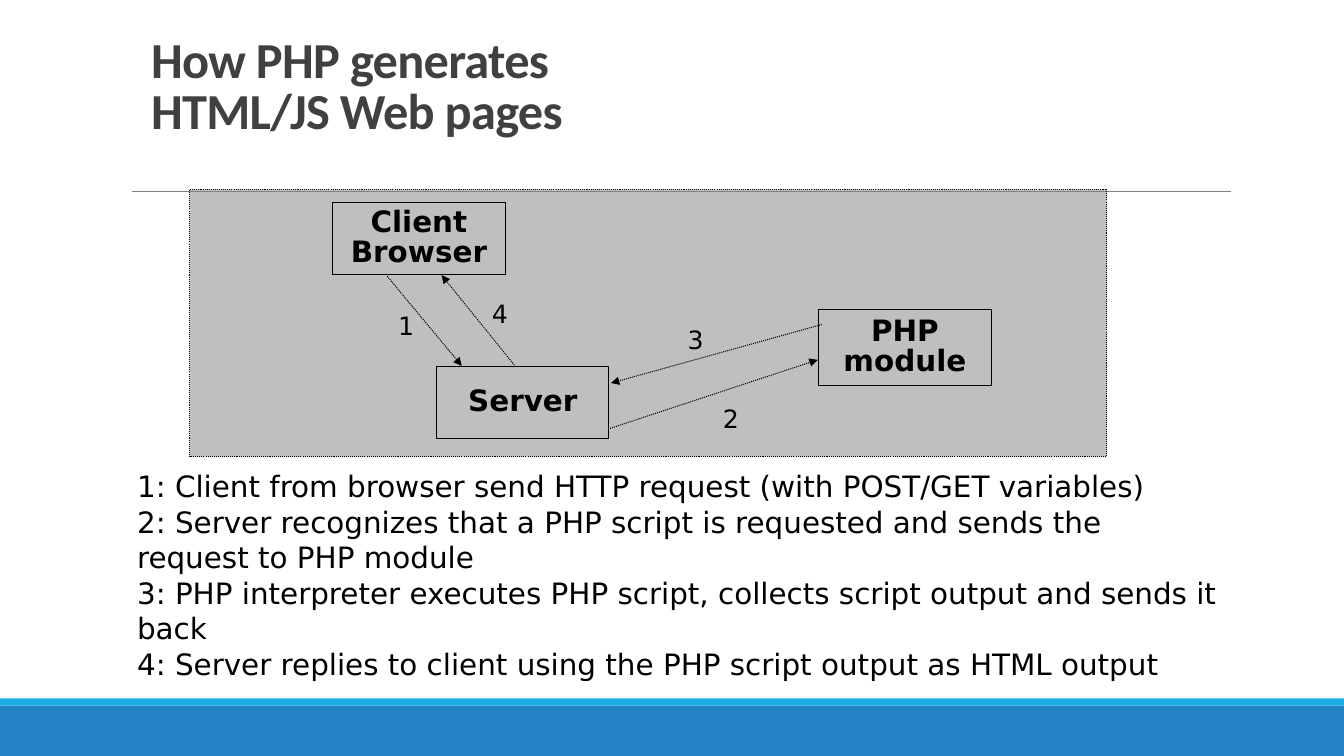
from lxml import etree
from pptx import Presentation
from pptx.dml.color import RGBColor
from pptx.enum.dml import MSO_LINE
from pptx.enum.shapes import MSO_CONNECTOR, MSO_SHAPE
from pptx.enum.text import MSO_ANCHOR, PP_ALIGN
from pptx.oxml.ns import qn
from pptx.util import Inches, Pt

BLACK = RGBColor(0, 0, 0)
GRAY = RGBColor(0x80, 0x80, 0x80)
CHARCOAL = RGBColor(0x40, 0x40, 0x40)
BLUE = RGBColor(0x26, 0x83, 0xC6)
CYAN = RGBColor(0x1C, 0xAD, 0xE4)
DOTTED = MSO_LINE.ROUND_DOT
STRAIGHT = MSO_CONNECTOR.STRAIGHT
RECTANGLE = MSO_SHAPE.RECTANGLE
TOP, MIDDLE, BOTTOM = MSO_ANCHOR.TOP, MSO_ANCHOR.MIDDLE, MSO_ANCHOR.BOTTOM
LEFT, CENTER = PP_ALIGN.LEFT, PP_ALIGN.CENTER


class SlideBuilder:
    title_font = "Calibri"
    body_font = "DejaVu Sans"
    outline_width = Pt(0.75)

    def __init__(self, slide):
        self.slide = slide

    def fill_text(self, shape, paragraphs, size, spacing, font=body_font, color=BLACK,
                  bold=False, align=LEFT, anchor=TOP, wrap=True):
        frame = shape.text_frame
        frame.word_wrap = wrap
        frame.vertical_anchor = anchor
        frame.margin_left = frame.margin_right = 0
        frame.margin_top = frame.margin_bottom = 0
        frame.text = "\n".join(paragraphs)
        for para in frame.paragraphs:
            para.alignment = align
            para.line_spacing = spacing
            para.font.name = font
            para.font.size = Pt(size)
            para.font.bold = bold
            para.font.color.rgb = color

    def text(self, left, top, width, height, paragraphs, size, spacing, **style):
        box = self.slide.shapes.add_textbox(
            Inches(left), Inches(top), Inches(width), Inches(height))
        self.fill_text(box, paragraphs, size, spacing, **style)
        return box

    def title(self, left, top, width, height, words):
        box = self.text(left, top, width, height, [words], 36, 0.85,
                        font=self.title_font, color=CHARCOAL, bold=True, anchor=BOTTOM)
        frame = box.text_frame
        frame.margin_left = frame.margin_right = Inches(0.1)
        frame.margin_top = frame.margin_bottom = Inches(0.05)
        for span in frame.paragraphs[0].runs:
            span.font._element.set("spc", "-50")

    def rectangle(self, left, top, width, height, fill=None, opacity=100,
                  outline=None, dash=None):
        box = self.slide.shapes.add_shape(
            RECTANGLE, Inches(left), Inches(top), Inches(width), Inches(height))
        box.shadow.inherit = False
        if fill is None:
            box.fill.background()
        else:
            box.fill.solid()
            box.fill.fore_color.rgb = fill
            if opacity < 100:
                color = box._element.spPr.find(qn("a:solidFill"))[0]
                etree.SubElement(color, qn("a:alpha"), val=str(opacity * 1000))
        if outline is None:
            box.line.fill.background()
        else:
            box.line.color.rgb = outline
            box.line.width = self.outline_width
            box.line.dash_style = dash
        return box

    def node(self, left, top, height, label):
        box = self.rectangle(left, top, 1.71, height, outline=BLACK)
        self.fill_text(box, [label], 21, Pt(21.2), bold=True, align=CENTER, anchor=MIDDLE)

    def line(self, start, end, color, width):
        line = self.slide.shapes.add_connector(
            STRAIGHT, *(Inches(value) for value in (*start, *end)))
        line.line.color.rgb = color
        line.line.width = width
        etree.SubElement(line._element.spPr, qn("a:effectLst"))
        return line

    def arrow(self, start, end):
        arrow = self.line(start, end, BLACK, self.outline_width)
        arrow.line.dash_style = DOTTED
        outline = arrow._element.spPr.find(qn("a:ln"))
        etree.SubElement(outline, qn("a:tailEnd"), type="triangle")


deck = Presentation()
deck.slide_width = Inches(13.33)
deck.slide_height = Inches(7.5)
page = SlideBuilder(deck.slides.add_slide(deck.slide_layouts[6]))

page.rectangle(0, 7, 13.33, 0.5, fill=BLUE)
page.rectangle(0, 6.93, 13.33, 0.07, fill=CYAN)
page.line((1.31, 1.9), (12.21, 1.9), GRAY, Pt(0.5))
page.title(1.4, 0.38, 10.54, 1.06, "How PHP generates \vHTML/JS Web pages")

steps = [
    "1: Client from browser send HTTP request (with POST/GET variables)",
    "2: Server recognizes that a PHP script is requested and sends the request to PHP module",
    "3: PHP interpreter executes PHP script, collects script output and sends it back",
    "4: Server replies to client using the PHP script output as HTML output",
]
explanation = page.text(1.36, 4.7, 10.73, 2.08, steps, 21, 1.01)
explanation.text_frame.paragraphs[0].line_spacing = Pt(21.2)

page.rectangle(1.88, 1.88, 9.1, 2.65, fill=GRAY, opacity=50, outline=BLACK, dash=DOTTED)

for left, top, height, label in [
    (3.3, 2.01, 0.71, "Client Browser"),
    (8.12, 3.07, 0.75, "PHP module"),
    (4.33, 3.64, 0.71, "Server"),
]:
    page.node(left, top, height, label)

for number, start, end, left, top in [
    ("1", (3.84, 2.74), (4.58, 3.63), 3.95, 3.08),
    ("2", (6.05, 4.25), (8.11, 3.57), 7.17, 4),
    ("3", (8.15, 3.22), (6.06, 3.8), 6.82, 3.21),
    ("4", (5.1, 3.62), (4.38, 2.73), 4.88, 2.96),
]:
    page.arrow(start, end)
    page.text(left, top, 0.2, 0.28, [number], 18, 1.01, wrap=False)

deck.save("out.pptx")
